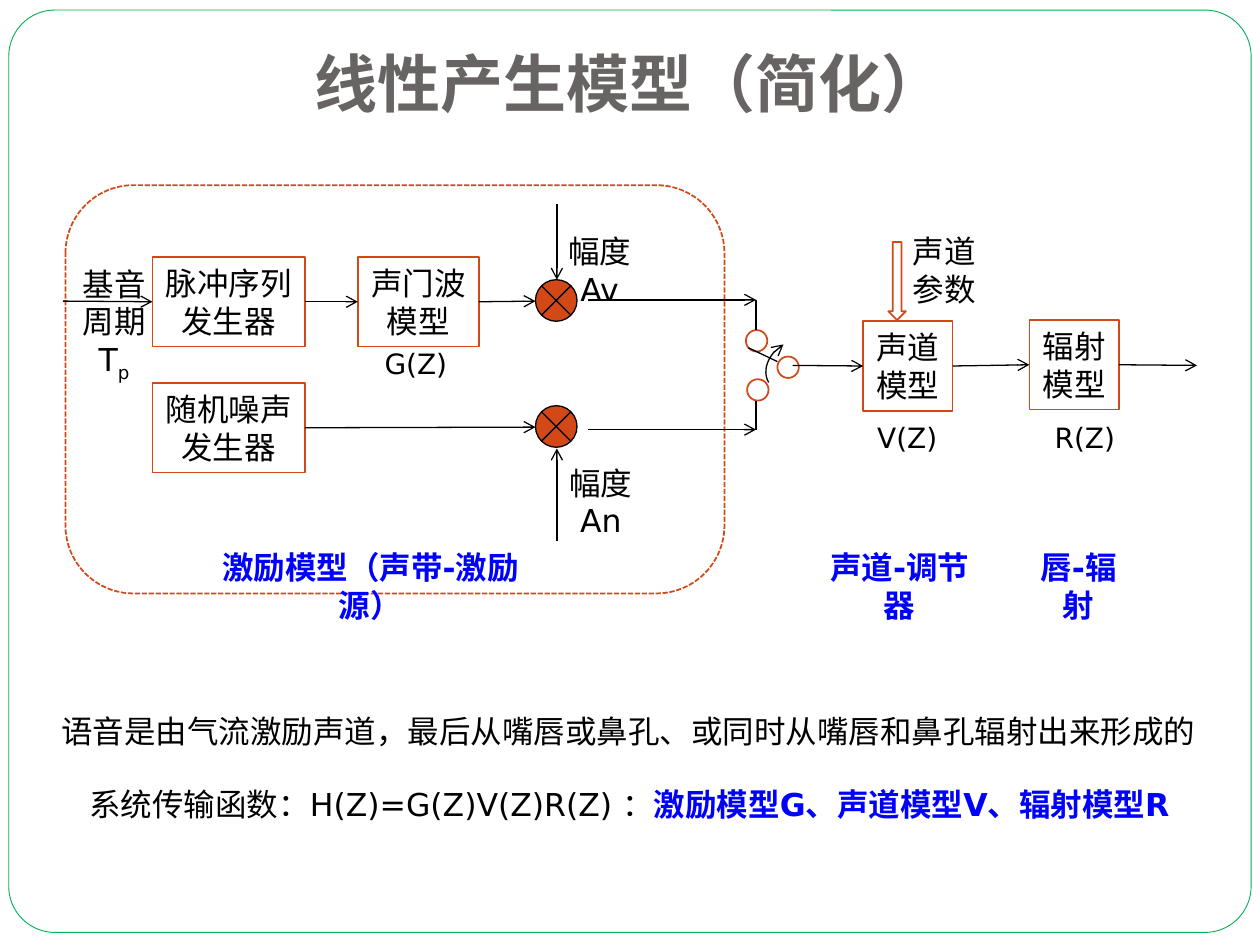
from lxml.etree import SubElement
from pptx import Presentation
from pptx.dml.color import RGBColor
from pptx.enum.dml import MSO_LINE
from pptx.enum.shapes import MSO_CONNECTOR, MSO_SHAPE as Shape
from pptx.enum.text import MSO_ANCHOR as Anchor, PP_ALIGN
from pptx.oxml.ns import qn
from pptx.util import Inches, Pt

BLACK = RGBColor(0x00, 0x00, 0x00)
WHITE = RGBColor(0xFF, 0xFF, 0xFF)
ORANGE = RGBColor(0xD3, 0x48, 0x17)
GREEN = RGBColor(0x00, 0xB0, 0x50)
BLUE = RGBColor(0x00, 0x00, 0xFF)
GREY = RGBColor(0x69, 0x64, 0x64)

TOP, LEFT, BOTTOM, RIGHT = range(4)


def write(frame, paras, font="DejaVu Sans", size=18, color=BLACK, bold=False):
    """Fill a frame with centred paragraphs; a paragraph is a string or (text, extras) spans."""
    for index, spans in enumerate(paras):
        para = frame.paragraphs[0] if index == 0 else frame.add_paragraph()
        para.alignment = PP_ALIGN.CENTER
        if isinstance(spans, str):
            spans = [(spans, {})]
        for text, extras in spans:
            span = para.add_run()
            span.text = text
            span.font.name = font
            span.font.size = Pt(size)
            span.font.bold = extras.get("bold", bold)
            span.font.color.rgb = extras.get("color", color)
            if extras.get("subscript"):
                span.font._element.set("baseline", "-25000")


def add_label(page, left, top, width, height, *paras, right_inset=None,
              anchor=Anchor.TOP, **style):
    """Add a text box; a right inset makes its text wrap in the space that is left."""
    box = page.shapes.add_textbox(Inches(left), Inches(top), Inches(width), Inches(height))
    frame = box.text_frame
    frame.word_wrap = right_inset is not None
    frame.vertical_anchor = anchor
    if right_inset is not None:
        frame.margin_right = Inches(right_inset)
    write(frame, paras, **style)


def add_outline(page, kind, left, top, width, height, fill=WHITE, line=ORANGE, weight=1):
    shape = page.shapes.add_shape(kind, Inches(left), Inches(top), Inches(width), Inches(height))
    shape.shadow.inherit = False
    if fill is None:
        shape.fill.background()
    else:
        shape.fill.solid()
        shape.fill.fore_color.rgb = fill
    shape.line.color.rgb = line
    shape.line.width = Pt(weight)
    return shape


def add_block(page, left, top, width, *lines):
    block = add_outline(page, Shape.RECTANGLE, left, top, width, 0.71)
    block.text_frame.word_wrap = False
    block.text_frame.vertical_anchor = Anchor.MIDDLE
    write(block.text_frame, lines, font="Times New Roman")
    return block


def add_arrowhead(shape):
    SubElement(shape.line._get_or_add_ln(), qn("a:tailEnd"), type="arrow")


def add_wire(page, start, end, source=None, target=None, arrow=True):
    """Draw a line; source and target blocks are joined at their right and left sides."""
    wire = page.shapes.add_connector(
        MSO_CONNECTOR.STRAIGHT, *(Inches(value) for value in (*start, *end)))
    if source is not None:
        wire.begin_connect(source, RIGHT)
    if target is not None:
        wire.end_connect(target, LEFT)
    wire.line.color.rgb = BLACK
    wire.line.width = Pt(0.75)
    if arrow:
        add_arrowhead(wire)
    SubElement(wire._element.spPr, qn("a:effectLst"))


def add_excitation(page):
    area = add_outline(page, Shape.ROUNDED_RECTANGLE, 0.52, 1.47, 5.23, 3.24)
    area.line.dash_style = MSO_LINE.SQUARE_DOT
    pulse = add_block(page, 1.21, 2.04, 1.21, "脉冲序列", "发生器")
    noise = add_block(page, 1.21, 3.04, 1.21, "随机噪声", "发生器")
    glottis = add_block(page, 2.84, 2.04, 0.96, "声门波", "模型")
    for top in (2.22, 3.22):
        add_outline(page, Shape.FLOWCHART_SUMMING_JUNCTION, 4.25, top, 0.33, 0.33,
                    fill=ORANGE, line=BLACK, weight=0.75)

    add_wire(page, (0.5, 2.39), (1.21, 2.39), target=pulse)
    add_wire(page, (2.42, 2.39), (2.84, 2.39), source=pulse, target=glottis)
    add_wire(page, (3.8, 2.39), (4.25, 2.39), source=glottis)
    add_wire(page, (2.42, 3.39), (4.25, 3.39), source=noise)
    add_wire(page, (4.42, 1.62), (4.42, 2.22))
    add_wire(page, (4.42, 4.29), (4.42, 3.56))

    add_label(page, 0.55, 2.05, 0.71, 1.01, "基音", "周期",
              [("T", {}), ("p", {"subscript": True})])
    add_label(page, 4.4, 1.79, 1.02, 0.4, "幅度Av", right_inset=0.4)
    add_label(page, 4.41, 3.63, 1.04, 0.4, "幅度An", right_inset=0.42)


def add_switch(page):
    for y in (2.38, 3.41):
        add_wire(page, (4.67, y), (6, y))
    for left, top in ((5.92, 2.62), (5.93, 3.01), (6.17, 2.83)):
        add_outline(page, Shape.FLOWCHART_CONNECTOR, left, top, 0.17, 0.17)
    for start, end in (((6, 2.38), (6, 2.62)), ((6, 3.18), (6, 3.41)),
                       ((6.17, 2.87), (5.94, 2.76))):
        add_wire(page, start, end, arrow=False)
    swing = add_outline(page, Shape.ARC, 6.12, 2.65, 0.4, 0.51,
                        fill=None, line=BLACK, weight=0.75)
    swing.rotation = 239.4
    add_arrowhead(swing)


def add_tract_and_lips(page):
    tract = add_block(page, 6.85, 2.55, 0.71, "声道", "模型")
    lips = add_block(page, 8.17, 2.54, 0.71, "辐射", "模型")
    add_wire(page, (6.29, 2.9), (6.85, 2.9), target=tract)
    add_wire(page, (7.56, 2.9), (8.17, 2.9), source=tract, target=lips)
    add_wire(page, (8.88, 2.9), (9.5, 2.9), source=lips)
    add_outline(page, Shape.DOWN_ARROW, 7.05, 1.92, 0.14, 0.62)
    add_label(page, 7.14, 1.79, 0.71, 0.71, "声道", "参数")


def add_captions(page):
    for left, top, name in ((2.94, 2.7, "G(Z)"), (6.84, 3.29, "V(Z)"), (8.25, 3.29, "R(Z)")):
        add_label(page, left, top, 0.72, 0.37, name, size=16)
    for left, width, inset, name in ((1.59, 3.12, 0.52, "激励模型（声带-激励源）"),
                                     (6.42, 1.59, 0.25, "声道-调节器"),
                                     (8.09, 1.09, 0.25, "唇-辐射")):
        add_label(page, left, 4.3, width, 0.4, name, right_inset=inset, color=BLUE, bold=True)
    add_label(page, 0.34, 5.6, 9.29, 0.4,
              "语音是由气流激励声道，最后从嘴唇或鼻孔、或同时从嘴唇和鼻孔辐射出来形成的")
    add_label(page, 0.35, 6.18, 9.29, 0.4,
              [("系统传输函数：H(Z)=G(Z)V(Z)R(Z) ：", {}),
               ("激励模型G、声道模型V、辐射模型R", {"color": BLUE, "bold": True})])


def main():
    deck = Presentation()
    deck.slide_width, deck.slide_height = Inches(10), Inches(7.5)
    page = deck.slides.add_slide(deck.slide_layouts[6])
    border = add_outline(page, Shape.ROUNDED_RECTANGLE, 0.07, 0.08, 9.86, 7.32,
                         line=GREEN, weight=0.5)
    border.adjustments[0] = 0.05
    add_excitation(page)
    add_switch(page)
    add_tract_and_lips(page)
    add_captions(page)
    add_label(page, 0.33, 0.13, 9.33, 0.87, "线性产生模型（简化）", right_inset=0.1,
              anchor=Anchor.BOTTOM, font="Lato", size=36, color=GREY, bold=True)
    deck.save("out.pptx")


if __name__ == "__main__":
    main()
